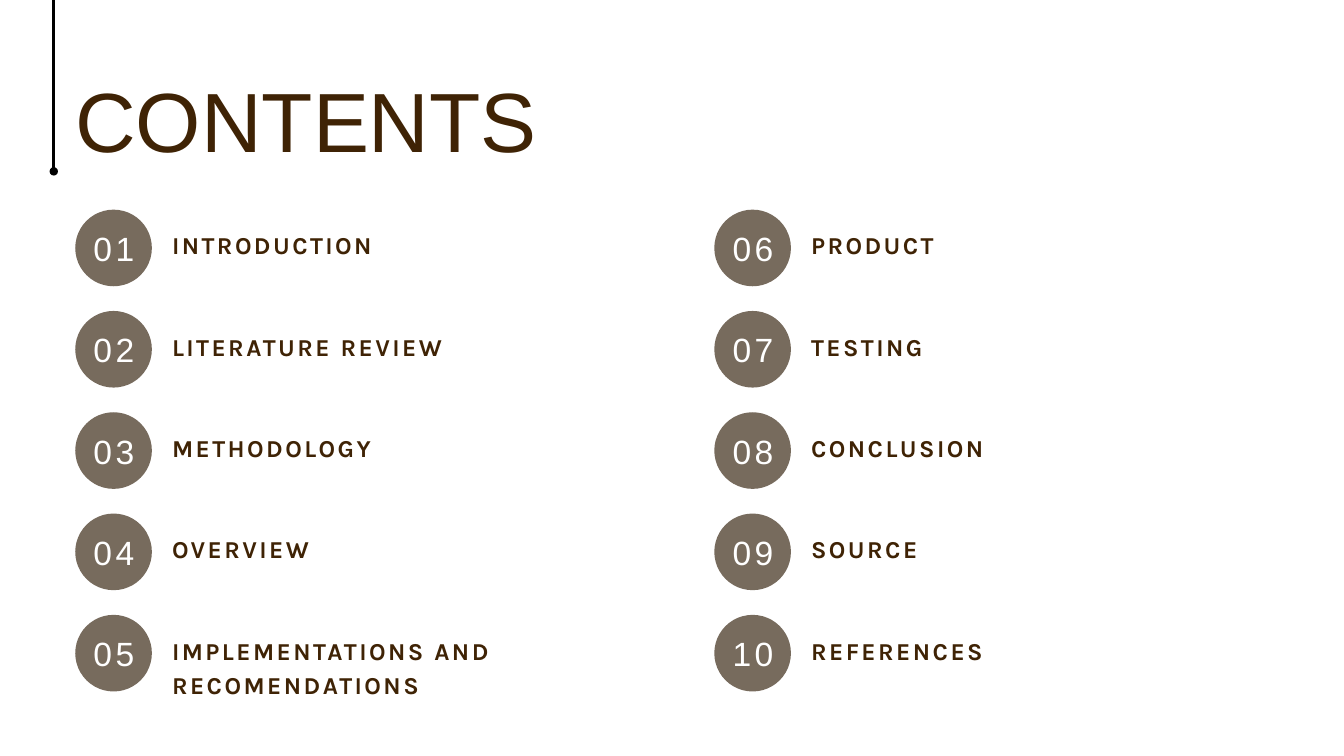
from lxml.etree import SubElement
from pptx import Presentation
from pptx.dml.color import RGBColor
from pptx.enum.shapes import MSO_CONNECTOR, MSO_SHAPE
from pptx.enum.text import MSO_ANCHOR, MSO_AUTO_SIZE, PP_ALIGN
from pptx.oxml.ns import qn
from pptx.util import Inches, Pt

BROWN = "3F2305"
TAUPE = "776B5D"
WHITE = "FFFFFF"
BLACK = "000000"

COLUMNS = [
    ["INTRODUCTION", "LITERATURE REVIEW", "METHODOLOGY", "OVERVIEW",
     "IMPLEMENTATIONS AND RECOMENDATIONS"],
    ["PRODUCT", "TESTING", "CONCLUSION", "SOURCE", "REFERENCES"],
]


def color(value):
    """Turn a hex string into a colour."""
    return RGBColor.from_string(value)


def add_text(shapes, box, text, font_name, size, text_color, line_spacing,
             bold=False, tracking=0, inset=0, centered=False):
    """Add a text box with one run at the given left, top, width and height."""
    shape = shapes.add_textbox(*box)
    frame = shape.text_frame
    frame.word_wrap = True
    frame.margin_left = frame.margin_right = Inches(inset)
    frame.margin_top = frame.margin_bottom = Inches(inset)
    frame.auto_size = MSO_AUTO_SIZE.NONE if centered else MSO_AUTO_SIZE.SHAPE_TO_FIT_TEXT
    frame.vertical_anchor = MSO_ANCHOR.MIDDLE if centered else MSO_ANCHOR.TOP
    paragraph = frame.paragraphs[0]
    paragraph.alignment = PP_ALIGN.CENTER if centered else PP_ALIGN.LEFT
    paragraph.line_spacing = Pt(line_spacing)
    run = paragraph.add_run()
    run.text = text
    run.font.name = font_name
    run.font.size = Pt(size)
    run.font.bold = bold
    run.font.color.rgb = color(text_color)
    if tracking:
        run.font._element.set("spc", str(round(tracking * 100)))


def add_pin(slide, x, top, bottom):
    """Draw a vertical line that hangs from the top and ends in a dot."""
    connector = slide.shapes.add_connector(MSO_CONNECTOR.STRAIGHT, x, bottom, x, top)
    connector.line.color.rgb = color(BLACK)
    connector.line.width = Pt(3)
    SubElement(connector.line._get_or_add_ln(), qn("a:headEnd"), type="oval")
    SubElement(connector._element.spPr, qn("a:effectLst"))


def add_badge(slide, left, top, diameter, number):
    """Group a filled circle with its two-digit number."""
    group = slide.shapes.add_group_shape()
    circle = group.shapes.add_shape(MSO_SHAPE.OVAL, left, top, diameter, diameter)
    circle.shadow.inherit = False
    circle.fill.solid()
    circle.fill.fore_color.rgb = color(TAUPE)
    circle.line.fill.background()
    box = (left + Inches(0.11), top + Inches(0.01), Inches(0.93), Inches(1.02))
    add_text(group.shapes, box, f"{number:02d}", "Arial", 36, WHITE, 50.4,
             tracking=3.6, inset=0.06, centered=True)


def add_column(slide, left, top, width, height, first_number, topics):
    """Stack numbered topics evenly in the given box."""
    diameter = Inches(1.14)
    pitch = (height - diameter) // (len(topics) - 1)
    indent = Inches(1.44)
    for index, topic in enumerate(topics):
        row_top = top + index * pitch
        add_badge(slide, left, row_top, diameter, first_number + index)
        box = (left + indent, row_top + Inches(0.24), width - indent, Inches(0.54))
        add_text(slide.shapes, box, topic, "Karla", 26, BROWN, 36.4,
                 bold=True, tracking=2.6)


def add_contents_slide(presentation):
    """Build the contents slide from its title, pin and two columns."""
    slide = presentation.slides.add_slide(presentation.slide_layouts[6])
    slide.background.fill.solid()
    slide.background.fill.fore_color.rgb = color(WHITE)
    title_box = (Inches(1.12), Inches(1.14), Inches(12), Inches(1.42))
    add_text(slide.shapes, title_box, "CONTENTS", "Arial", 90, BROWN, 99)
    add_pin(slide, Inches(0.8), Inches(0), Inches(2.55))
    first_number = 1
    for left, topics in zip((Inches(1.12), Inches(10.63)), COLUMNS):
        add_column(slide, left, Inches(3.12), Inches(8.25), Inches(7.17),
                   first_number, topics)
        first_number += len(topics)


def main():
    """Create the presentation and save it."""
    presentation = Presentation()
    presentation.slide_width = Inches(20)
    presentation.slide_height = Inches(11.25)
    add_contents_slide(presentation)
    presentation.save("out.pptx")


if __name__ == "__main__":
    main()
